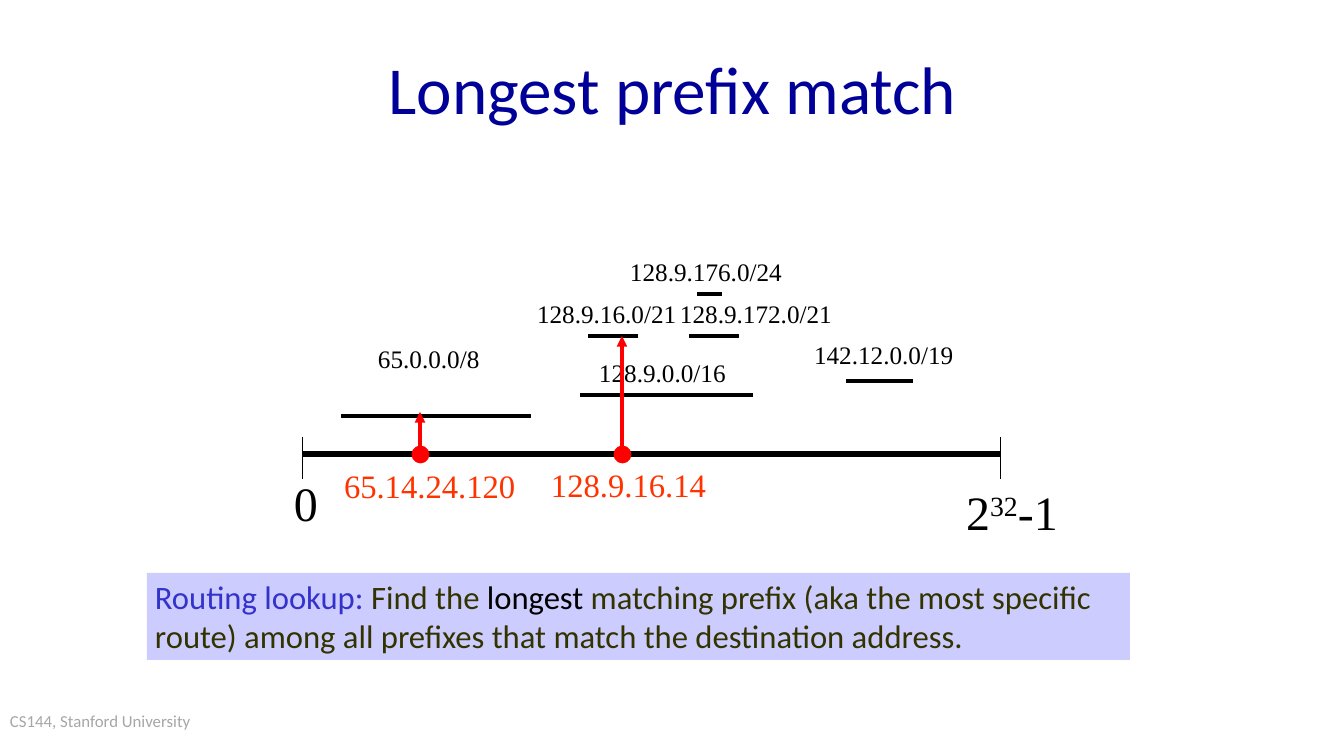
"""Build the longest prefix match slide."""
from dataclasses import dataclass

from lxml.etree import SubElement
from pptx import Presentation
from pptx.dml.color import RGBColor
from pptx.enum.shapes import MSO_CONNECTOR as Connector, MSO_SHAPE as Preset
from pptx.enum.text import MSO_ANCHOR as Anchor, MSO_AUTO_SIZE as AutoSize, PP_ALIGN as Align
from pptx.oxml.ns import qn
from pptx.util import Emu, Pt

COLORS = {
    "black": "000000", "title": "000099", "footer": "A6A6A6", "address": "FF3300",
    "red": "FF0000", "panel": "CCCCFF", "lead": "3333CC", "body": "333300",
}
SANS, SERIF = "Calibri", "Times New Roman"
AXIS_Y, AXIS_START, AXIS_END = 454, 302, 1000
TICK_TOP, TICK_BOTTOM = 437, 479
DOT = 17


@dataclass(frozen=True)
class Span:
    text: str
    color: str = "black"
    baseline: int = 0


@dataclass(frozen=True)
class Prefix:
    text: str
    left: int
    top: int
    width: int
    start: int
    end: int
    level: int


@dataclass(frozen=True)
class Address:
    text: str
    left: int
    top: int
    width: int
    x: int
    arrow_start: int
    arrow_end: int


PREFIXES = [
    Prefix("128.9.16.0/21", 529, 294, 157, 588, 638, 336),
    Prefix("128.9.172.0/21", 672, 294, 170, 689, 739, 336),
    Prefix("128.9.176.0/24", 622, 252, 170, 697, 722, 294),
    Prefix("128.9.0.0/16", 591, 353, 144, 580, 753, 395),
    Prefix("142.12.0.0/19", 806, 335, 157, 846, 913, 381),
    Prefix("65.0.0.0/8", 370, 339, 119, 341, 531, 416),
]
ADDRESSES = [
    Address("65.14.24.120", 336, 462, 190, 420, 456, 412),
    Address("128.9.16.14", 543, 461, 174, 622, 448, 336),
]


def px(value: int) -> Emu:
    """Convert pixels to EMU."""
    return Emu(round(value * 914400 / 84))


def rgb(name: str) -> RGBColor:
    """Look up a named colour."""
    return RGBColor.from_string(COLORS[name])


def add_preset(page, preset, left: int, top: int, width: int, height: int, fill: str):
    """Add a filled preset shape without a line or shadow."""
    shape = page.shapes.add_shape(preset, px(left), px(top), px(width), px(height))
    shape.shadow.inherit = False
    shape.fill.solid()
    shape.fill.fore_color.rgb = rgb(fill)
    shape.line.fill.background()
    return shape


def add_text(page, spans: list[Span], left: int, top: int, width: int, height: int, *,
             size: float, font: str = SERIF, wrap: bool = False, align=Align.LEFT,
             anchor=Anchor.TOP, inset: tuple[int, int] = (8, 4), fill: str = ""):
    """Write one paragraph of spans in a text box or a filled rectangle."""
    if fill:
        box = add_preset(page, Preset.RECTANGLE, left, top, width, height, fill)
    else:
        box = page.shapes.add_textbox(px(left), px(top), px(width), px(height))
    frame = box.text_frame
    frame.word_wrap = wrap
    frame.auto_size = AutoSize.NONE if wrap else AutoSize.SHAPE_TO_FIT_TEXT
    frame.vertical_anchor = anchor
    frame.margin_left = frame.margin_right = px(inset[0])
    frame.margin_top = frame.margin_bottom = px(inset[1])
    para = frame.paragraphs[0]
    para.alignment = align
    for span in spans:
        run = para.add_run()
        run.text = span.text
        run.font.size = Pt(size)
        run.font.name = font
        run.font.color.rgb = rgb(span.color)
        if span.baseline:
            run.font._element.set("baseline", str(span.baseline * 1000))


def add_line(page, start: tuple[int, int], end: tuple[int, int], weight: float,
             color: str = "black", arrow: bool = False) -> None:
    """Draw a straight line, with an optional arrowhead at its end."""
    line = page.shapes.add_connector(Connector.STRAIGHT, px(start[0]), px(start[1]),
                                     px(end[0]), px(end[1]))
    line.line.width = Pt(weight)
    line.line.color.rgb = rgb(color)
    if arrow:
        SubElement(line.line._get_or_add_ln(), qn("a:tailEnd"), type="triangle")
    SubElement(line._element.spPr, qn("a:effectLst"))


def add_prefix(page, prefix: Prefix) -> None:
    """Draw a prefix label and the range it covers."""
    add_text(page, [Span(prefix.text)], prefix.left, prefix.top, prefix.width, 39, size=21.6)
    add_line(page, (prefix.start, prefix.level), (prefix.end, prefix.level), 3)


def add_address(page, address: Address) -> None:
    """Draw an address, its dot on the axis and the arrow to its match."""
    add_text(page, [Span(address.text, "address")], address.left, address.top,
             address.width, 48, size=28)
    dot = add_preset(page, Preset.OVAL, address.x - DOT // 2, AXIS_Y - DOT // 2,
                     DOT, DOT, "red")
    dot.line.color.rgb = rgb("red")
    dot.line.width = Pt(0.75)
    add_line(page, (address.x, address.arrow_start), (address.x, address.arrow_end),
             3, "red", arrow=True)


def main() -> None:
    """Build and save the deck."""
    deck = Presentation()
    deck.slide_width, deck.slide_height = px(1344), px(756)
    page = deck.slides.add_slide(deck.slide_layouts[6])

    add_text(page, [Span("CS144, Stanford University", "footer")], 0, 706, 325, 50,
             size=14.4, font=SANS, wrap=True, inset=(10, 5))
    add_text(page, [Span("Longest prefix match", "title")], 244, 25, 857, 126,
             size=57.6, font=SANS, wrap=True, align=Align.CENTER, anchor=Anchor.MIDDLE)

    add_line(page, (AXIS_START, AXIS_Y), (AXIS_END, AXIS_Y), 4.5)
    for x in (AXIS_START, AXIS_END):
        add_line(page, (x, TICK_TOP), (x, TICK_BOTTOM), 0.75)
    add_text(page, [Span("0")], 286, 470, 41, 66, size=41.1)
    add_text(page, [Span("2"), Span("32", baseline=30), Span("-1")], 958, 479, 114, 66,
             size=41.1)

    for prefix in PREFIXES:
        add_prefix(page, prefix)
    for address in ADDRESSES:
        add_address(page, address)

    add_text(page, [
        Span("Routing lookup: ", "lead"),
        Span("Find the ", "body"),
        Span("longest"),
        Span(" matching prefix (aka the most specific route) among all prefixes "
             "that match the destination address.", "body"),
    ], 147, 573, 983, 87, size=28, font=SANS, wrap=True, fill="panel")

    deck.save("out.pptx")


if __name__ == "__main__":
    main()
